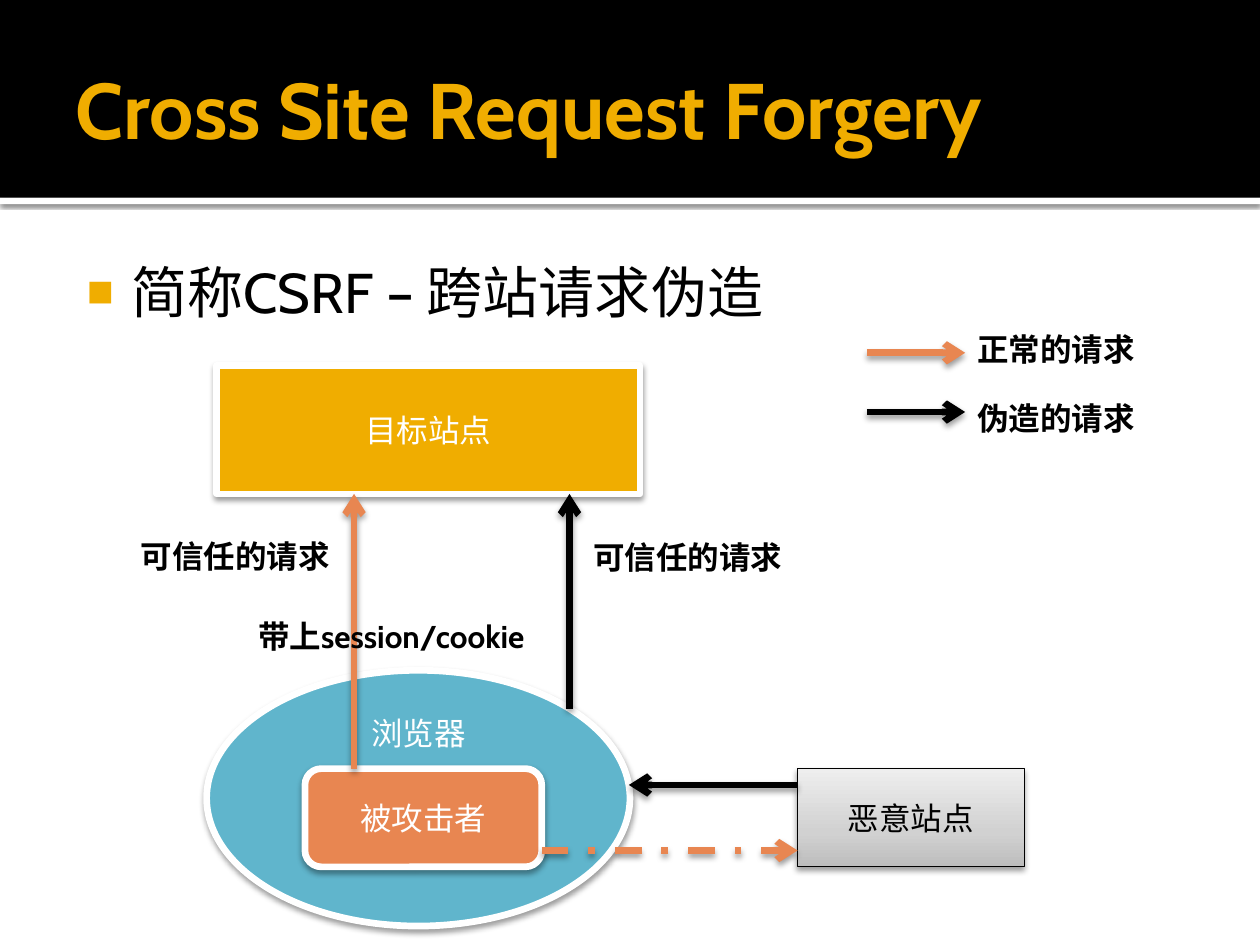
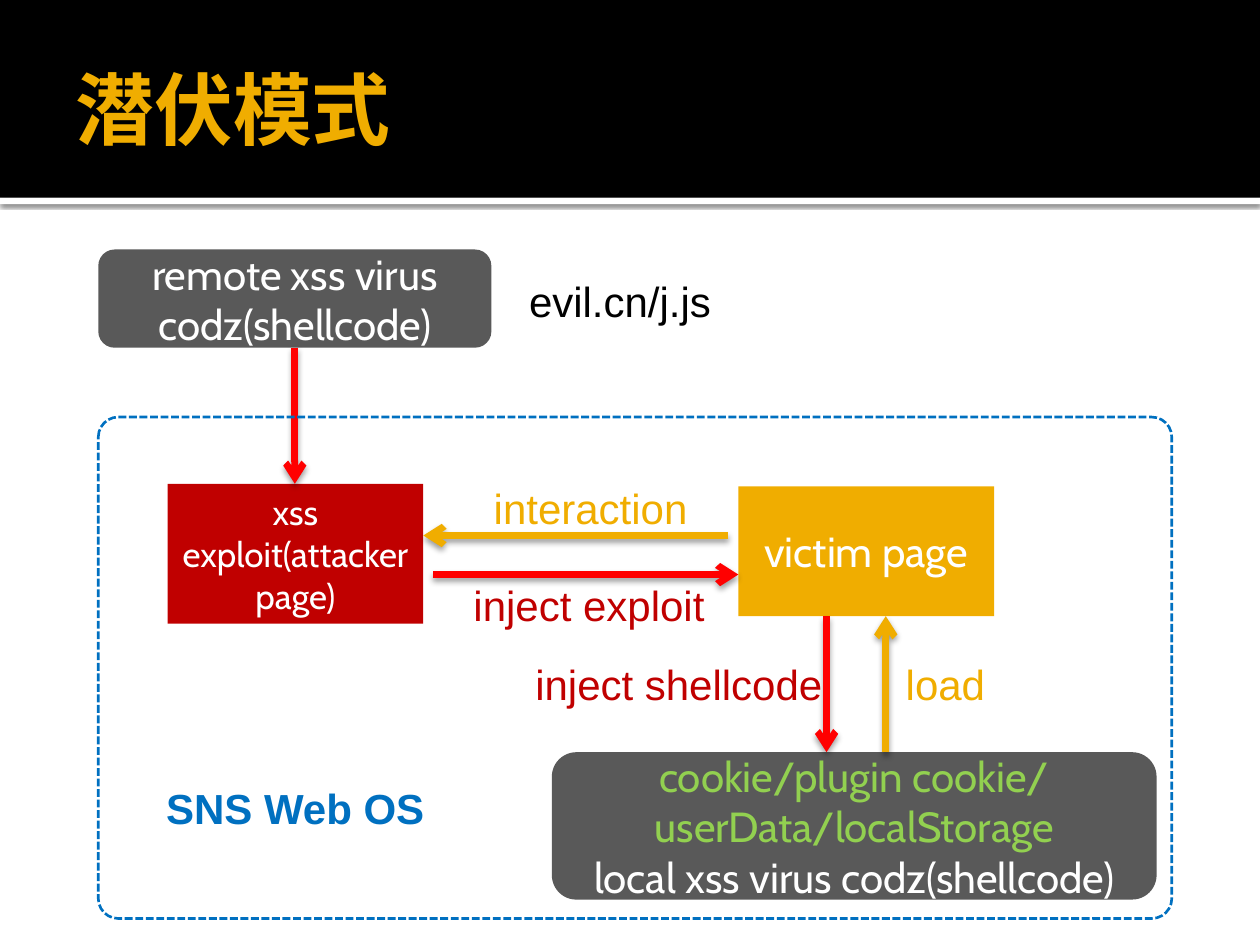
from math import sqrt

from lxml import etree
from pptx import Presentation
from pptx.dml.color import RGBColor
from pptx.enum.dml import MSO_LINE
from pptx.enum.shapes import MSO_CONNECTOR, MSO_SHAPE
from pptx.enum.text import MSO_ANCHOR, MSO_AUTO_SIZE, PP_ALIGN
from pptx.oxml.ns import qn
from pptx.util import Inches, Pt

RECT, ROUND, OVAL = MSO_SHAPE.RECTANGLE, MSO_SHAPE.ROUNDED_RECTANGLE, MSO_SHAPE.OVAL
STRAIGHT = MSO_CONNECTOR.STRAIGHT
DASH_DOT, SHORT_DASH = MSO_LINE.DASH_DOT, MSO_LINE.SQUARE_DOT
TOP, MIDDLE = MSO_ANCHOR.TOP, MSO_ANCHOR.MIDDLE
LEFT, CENTER = PP_ALIGN.LEFT, PP_ALIGN.CENTER
NO_FIT, GROW = MSO_AUTO_SIZE.NONE, MSO_AUTO_SIZE.SHAPE_TO_FIT_TEXT

BLACK = RGBColor(0x00, 0x00, 0x00)
WHITE = RGBColor(0xFF, 0xFF, 0xFF)
GOLD = RGBColor(0xF0, 0xAD, 0x00)
TEAL = RGBColor(0x60, 0xB5, 0xCC)
ORANGE = RGBColor(0xE8, 0x86, 0x51)
GREY = RGBColor(0x59, 0x59, 0x59)
CRIMSON = RGBColor(0xC0, 0x00, 0x00)
RED = RGBColor(0xFF, 0x00, 0x00)
BLUE = RGBColor(0x00, 0x70, 0xC0)
GREEN = RGBColor(0x92, 0xD0, 0x50)
SILVER = ((0, "BDBDBD"), (35, "D1D1D1"), (100, "EEEEEE"))

HEAD_FONT, PLAIN_FONT = "Cabin", "Arial"
WIDTH, HEIGHT, BAND = 10, 7.5, 1.57
ARROW_WEIGHT = 3.8
SOFT_SHADOW = (38, 3.5, 2)  # opacity %, blur pt, distance pt
RULE_SHADOW = (60, 2.5, 0.8)

# Boxes: kind, (left, top, width, height), fill, outline (colour, points),
#        text size, lines of (text, colour)
# Arrows: start box and side, end box and side, shared coordinate, colour,
#         dash, gap left at the start
# Labels: text, (left, top, width, height), colour, bold
FRAME = (WHITE, 3.82)
CSRF = {
    "title": "Cross Site Request Forgery",
    "bullet": "简称CSRF – 跨站请求伪造",
    "boxes": {
        "browser": (OVAL, (1.64, 5.32, 3.36, 2.03), TEAL, FRAME, 18, [("浏览器", WHITE)]),
        "attacked": (ROUND, (2.42, 6.1, 1.88, 0.78), ORANGE, FRAME, 18, [("被攻击者", WHITE)]),
        "target": (RECT, (1.72, 2.9, 3.36, 1.02), GOLD, FRAME, 18, [("目标站点", WHITE)]),
        "malicious": (RECT, (6.33, 6.1, 1.8, 0.78), SILVER, (BLACK, 0.5), 18,
                      [("恶意站点", BLACK)]),
    },
    "arrows": [
        ("attacked", "top", "target", "bottom", 2.81, ORANGE, None, 0),
        ("attacked", "right", "malicious", "left", 6.75, ORANGE, DASH_DOT, 0),
        ("malicious", "left", "browser", "right", 6.23, BLACK, None, 0),
        ("browser", "top", "target", "bottom", 4.52, BLACK, None, 0),
    ],
    "label_style": (HEAD_FONT, 18),
    "labels": [
        ("带上session/cookie", (1.95, 4.85, 2.52, 0.4), BLACK, True),
        ("可信任的请求", (1.02, 4.21, 1.72, 0.4), BLACK, True),
        ("可信任的请求", (4.61, 4.22, 1.72, 0.4), BLACK, True),
        ("正常的请求", (7.66, 2.57, 1.46, 0.4), BLACK, True),
        ("伪造的请求", (7.66, 3.12, 1.46, 0.4), BLACK, True),
    ],
}
LEGEND_SPAN = (6.88, 7.66)
LEGEND_ROWS = [(2.8, ORANGE), (3.27, BLACK)]

LURKING = {
    "title": "潜伏模式",
    "boxes": {
        "storage": (ROUND, (4.38, 5.97, 4.8, 1.17), GREY, None, 24,
                    [("cookie/plugin cookie/", GREEN), ("userData/localStorage", GREEN),
                     ("local xss virus codz(shellcode)", WHITE)]),
        "exploit": (RECT, (1.33, 3.84, 2.03, 1.11), CRIMSON, None, 20,
                    [("xss exploit(attacker page)", WHITE)]),
        "remote": (ROUND, (0.78, 1.98, 3.12, 0.78), GREY, None, 24,
                   [("remote xss virus codz(shellcode)", WHITE)]),
        "victim": (RECT, (5.86, 3.86, 2.03, 1.03), GOLD, None, 24, [("victim page", WHITE)]),
    },
    "arrows": [
        ("exploit", "right", "victim", "left", 4.56, RED, None, 0.08),
        ("victim", "left", "exploit", "right", 4.25, GOLD, None, 0.08),
        ("victim", "bottom", "storage", "top", 6.56, RED, None, 0),
        ("storage", "top", "victim", "bottom", 7.03, GOLD, None, 0),
        ("remote", "bottom", "exploit", "top", 2.34, RED, None, 0),
    ],
    "label_style": (PLAIN_FONT, 24),
    "labels": [
        ("interaction", (3.82, 3.78, 1.76, 0.5), GOLD, False),
        ("inject exploit", (3.66, 4.55, 2.06, 0.5), CRIMSON, False),
        ("SNS Web OS", (1.22, 6.16, 2.27, 0.5), BLUE, True),
        ("inject shellcode", (4.15, 5.18, 2.51, 0.5), CRIMSON, False),
        ("load", (7.09, 5.18, 0.84, 0.5), GOLD, False),
        ("evil.cn/j.js", (4.1, 2.14, 1.92, 0.5), BLACK, False),
    ],
}
SITE_FRAME = (0.78, 3.31, 8.52, 3.98)


def inches(values):
    return [Inches(value) for value in values]


def add_xml(parent, tag, **attributes):
    child = etree.SubElement(parent, qn(tag))
    for name, value in attributes.items():
        child.set(name, str(value))
    return child


def cast_shadow(shape, opacity, blur, distance):
    properties = shape.element.spPr
    effects = properties.find(qn("a:effectLst"))
    if effects is None:
        effects = add_xml(properties, "a:effectLst")
    shadow = add_xml(effects, "a:outerShdw", blurRad=Pt(blur), dist=Pt(distance),
                     dir=90 * 60000, rotWithShape=0)
    colour = add_xml(shadow, "a:srgbClr", val=BLACK)
    add_xml(colour, "a:alpha", val=opacity * 1000)


def write(para, text, size, colour, font=HEAD_FONT, bold=False, align=LEFT):
    para.alignment = align
    span = para.add_run()
    span.text = text
    span.font.name, span.font.size, span.font.bold = font, Pt(size), bold
    span.font.color.rgb = colour


def paint(shape, fill):
    """Fill with nothing, one colour, or gradient stops running upwards."""
    if fill is None:
        shape.fill.background()
    elif isinstance(fill, RGBColor):
        shape.fill.solid()
        shape.fill.fore_color.rgb = fill
    else:
        shape.fill.gradient()
        shape.fill.gradient_angle = 90
        stops = shape.element.spPr.find(".//" + qn("a:gsLst"))
        for stop in list(stops):
            stops.remove(stop)
        for position, colour in fill:
            stop = add_xml(stops, "a:gs", pos=position * 1000)
            add_xml(stop, "a:srgbClr", val=colour)


def add_box(slide, kind, place, fill, outline=None):
    shape = slide.shapes.add_shape(kind, *inches(place))
    shape.shadow.inherit = False
    paint(shape, fill)
    if outline:
        shape.line.color.rgb = outline[0]
        shape.line.width = Pt(outline[1])
    else:
        shape.line.fill.background()
    return shape


def add_text_box(slide, kind, place, fill, outline, size, lines):
    shape = add_box(slide, kind, place, fill, outline)
    if outline:
        cast_shadow(shape, *SOFT_SHADOW)
    frame = shape.text_frame
    frame.word_wrap = True
    frame.vertical_anchor = TOP if kind == OVAL else MIDDLE
    for number, (text, colour) in enumerate(lines):
        para = frame.add_paragraph() if number else frame.paragraphs[0]
        write(para, text, size, colour, align=CENTER)


def add_label(slide, text, place, colour, bold, font, size):
    frame = slide.shapes.add_textbox(*inches(place)).text_frame
    frame.word_wrap = False
    frame.auto_size = GROW
    write(frame.paragraphs[0], text, size, colour, font, bold)


def add_arrow(slide, start, end, colour, dash=None):
    arrow = slide.shapes.add_connector(STRAIGHT, *inches(start + end))
    arrow.line.color.rgb = colour
    arrow.line.width = Pt(ARROW_WEIGHT)
    if dash:
        arrow.line.dash_style = dash
    add_xml(arrow.element.spPr.find(qn("a:ln")), "a:tailEnd", type="arrow")
    cast_shadow(arrow, *SOFT_SHADOW)


def edge_point(box, side, track):
    """Point on a side of the box where its x (top, bottom) or y (left, right) is track."""
    kind, (left, top, width, height) = box[:2]
    upright = side in ("top", "bottom")
    near, depth, first, length = (
        (top, height, left, width) if upright else (left, width, top, height))
    reach = depth / 2
    if kind == OVAL:
        offset = (track - first - length / 2) / (length / 2)
        reach *= sqrt(1 - offset ** 2)
    sign = -1 if side in ("top", "left") else 1
    edge = near + depth / 2 + sign * reach
    return (track, edge) if upright else (edge, track)


def join_boxes(slide, boxes, source, out, target, into, track, colour, dash, gap):
    x, y = edge_point(boxes[source], out, track)
    if out in ("left", "right"):
        x += gap if out == "right" else -gap
    add_arrow(slide, (x, y), edge_point(boxes[target], into, track), colour, dash)


def format_placeholder(holder, place, margins, anchor):
    holder.left, holder.top, holder.width, holder.height = inches(place)
    frame = holder.text_frame
    frame.word_wrap, frame.auto_size, frame.vertical_anchor = True, NO_FIT, anchor
    (frame.margin_left, frame.margin_top,
     frame.margin_right, frame.margin_bottom) = inches(margins)
    return frame.paragraphs[0]


def add_bullet_line(slide, text):
    para = format_placeholder(slide.placeholders[1], (0.5, 1.94, 9, 5.06),
                              (0.06, 0.1, 0.1, 0.05), TOP)
    write(para, text, 32, BLACK)
    para.space_before = Pt(0)
    properties = para._p.get_or_add_pPr()
    properties.set("marL", str(Inches(0.48)))
    properties.set("indent", str(Inches(-0.35)))
    add_xml(add_xml(properties, "a:buClr"), "a:srgbClr", val=GOLD)
    add_xml(properties, "a:buSzPct", val=80000)
    add_xml(properties, "a:buChar", char="■")


def add_master_bands(deck, slide):
    """Draw the title band and its rule, then move them behind everything on the master."""
    rule = add_box(slide, RECT, (0, BAND, WIDTH, 0.05), WHITE)
    cast_shadow(rule, *RULE_SHADOW)
    band = add_box(slide, RECT, (0, 0, WIDTH, BAND), BLACK)
    for shape in (band, rule):
        deck.slide_master.shapes.element.insert(2, shape.element)


def add_slide(deck, content):
    layout = deck.slide_layouts[1 if "bullet" in content else 5]
    slide = deck.slides.add_slide(layout)
    title = format_placeholder(slide.shapes.title, (0.5, 0.17, 9, 1.37),
                               (0.1, 0.05, 0.05, 0.05), MIDDLE)
    write(title, content["title"], 45, GOLD, bold=True)
    if "bullet" in content:
        add_bullet_line(slide, content["bullet"])
    for box in content["boxes"].values():
        add_text_box(slide, *box)
    for arrow in content["arrows"]:
        join_boxes(slide, content["boxes"], *arrow)
    for label in content["labels"]:
        add_label(slide, *label, *content["label_style"])
    return slide


def main():
    deck = Presentation()
    deck.slide_width, deck.slide_height = Inches(WIDTH), Inches(HEIGHT)

    csrf = add_slide(deck, CSRF)
    add_master_bands(deck, csrf)
    for y, colour in LEGEND_ROWS:
        add_arrow(csrf, (LEGEND_SPAN[0], y), (LEGEND_SPAN[1], y), colour)

    lurking = add_slide(deck, LURKING)
    site = add_box(lurking, ROUND, SITE_FRAME, None, (BLUE, 1.5))
    site.line.dash_style = SHORT_DASH
    site.adjustments[0] = 0.04

    deck.save("out.pptx")


if __name__ == "__main__":
    main()
